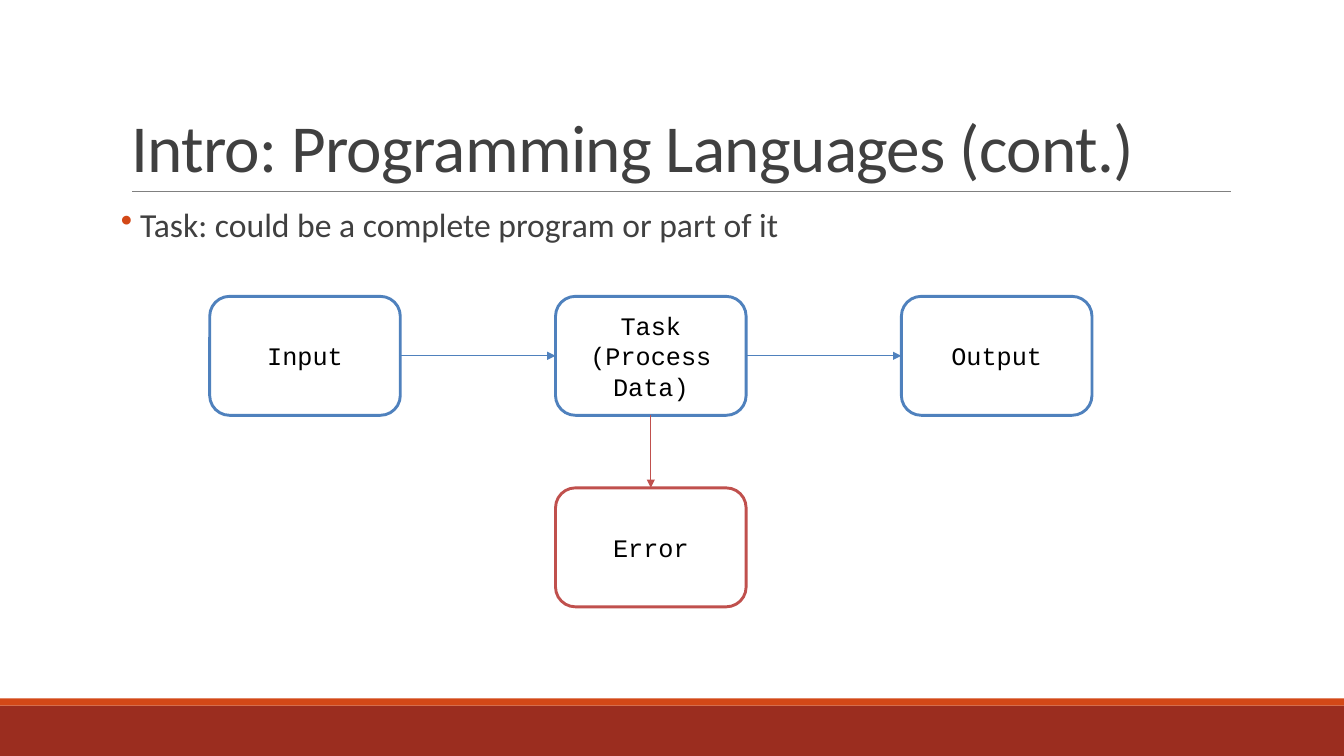
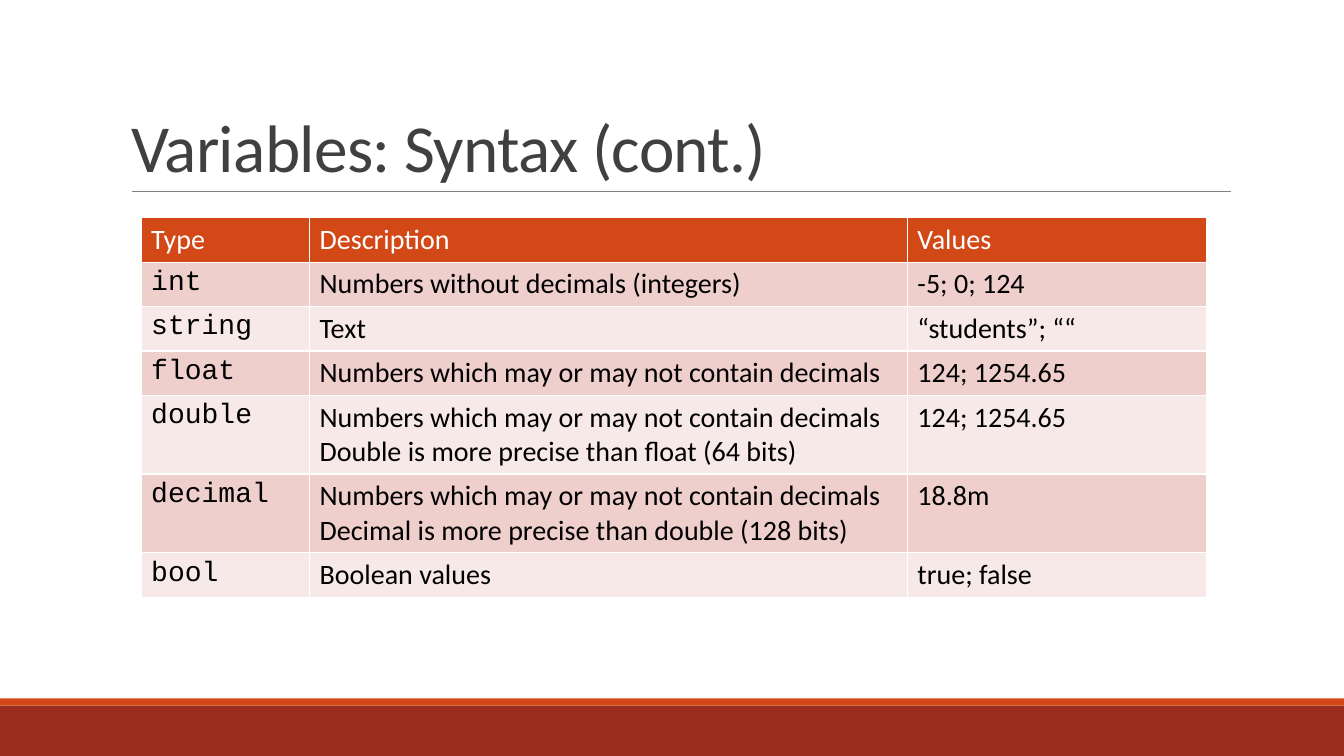
from lxml import etree
from pptx import Presentation
from pptx.dml.color import RGBColor
from pptx.enum import shapes, text
from pptx.oxml import ns
from pptx.util import Inches, Pt

RUST, ORANGE, GREY, DARK = "9B2D1F", "D34817", "808080", "404040"
BLUE, RED, WHITE, BLACK = "4F81BD", "C0504D", "FFFFFF", "000000"
STRIPES = "EFCFCC", "F7E9E8"
SANS, MONO = "Calibri", "Courier New"

FLOW_TITLE = "Intro: Programming Languages (cont.)"
BULLET = "Task: could be a complete program or part of it"
# name: (lines, column, row, colour)
NODES = {
    "input": ("Input", 0, 0, BLUE),
    "task": ("Task\n(Process Data)", 1, 0, BLUE),
    "output": ("Output", 2, 0, BLUE),
    "error": ("Error", 1, 1, RED),
}
# from, side, to, side, colour
LINKS = [
    ("input", 3, "task", 1, BLUE),
    ("task", 3, "output", 1, BLUE),
    ("task", 2, "error", 0, RED),
]

TYPES_TITLE = "Variables: Syntax (cont.)"
DECIMALS = "Numbers which may or may not contain decimals"
WIDTHS = 1.67, 5.93, 2.97
TYPES = [
    ("Type", "Description", "Values"),
    ("int", "Numbers without decimals (integers)", "-5; 0; 124"),
    ("string", "Text", "“students”; ““"),
    ("float", DECIMALS, "124; 1254.65"),
    ("double", DECIMALS + "\nDouble is more precise than float (64 bits)",
     "124; 1254.65"),
    ("decimal", DECIMALS + "\nDecimal is more precise than double (128 bits)",
     "18.8m"),
    ("bool", "Boolean values", "true; false"),
]


def rgb(code):
    return RGBColor.from_string(code)


def paint(part, code):
    part.fill.solid()
    part.fill.fore_color.rgb = rgb(code)


def sub(parent, tag, **attrs):
    return etree.SubElement(parent, ns.qn(tag), attrs)


def box(*inches):
    return [Inches(n) for n in inches]


def write(frame, words, size, face, colour, **form):
    """Fill a text frame; form holds paragraph attributes."""
    frame.text = words
    for para in frame.paragraphs:
        for name, value in form.items():
            setattr(para, name, value)
        for run in para.runs:
            run.font.size, run.font.name = Pt(size), face
            run.font.color.rgb = rgb(colour)


def wire(slide, ends, colour, width):
    line = slide.shapes.add_connector(
        shapes.MSO_CONNECTOR.STRAIGHT, *box(*ends))
    line.line.color.rgb = rgb(colour)
    line.line.width = Pt(width)
    sub(line._element.spPr, "a:effectLst")
    return line


def start(deck, title):
    """Add a slide with bands, title and rule."""
    slide = deck.slides.add_slide(deck.slide_layouts[5])
    for top, high, colour in ((7, 0.5, RUST), (6.93, 0.07, ORANGE)):
        band = slide.shapes.add_shape(
            shapes.MSO_SHAPE.RECTANGLE, *box(0, top, 13.33, high))
        paint(band, colour)
        band.line.fill.background()
        band.shadow.inherit = False
    wire(slide, (1.31, 1.9, 12.21, 1.9), GREY, 0.5)
    head = slide.shapes.title
    head.left, head.top, head.width, head.height = box(1.2, 0.31, 11, 1.59)
    frame = head.text_frame
    frame.auto_size = text.MSO_AUTO_SIZE.NONE
    frame.vertical_anchor = text.MSO_ANCHOR.BOTTOM
    write(frame, title, 48, SANS, DARK,
          alignment=text.PP_ALIGN.LEFT, line_spacing=0.85)
    frame.paragraphs[0].runs[0].font._element.set("spc", "-50")
    return slide


def point(slide):
    frame = slide.shapes.add_textbox(*box(1.2, 2.02, 11, 4.4)).text_frame
    frame.word_wrap = True
    frame.margin_left = frame.margin_right = 0
    write(frame, BULLET, 24, SANS, DARK, line_spacing=0.9, space_after=Pt(2))
    props = frame.paragraphs[0]._p.get_or_add_pPr()
    props.set("marL", str(Inches(0.19)))
    props.set("indent", str(Inches(-0.19)))
    sub(sub(props, "a:buClr"), "a:srgbClr", val=ORANGE)
    sub(props, "a:buChar", char="•")


def flow(slide):
    nodes = {}
    for name, (words, col, row, colour) in NODES.items():
        node = slide.shapes.add_shape(
            shapes.MSO_SHAPE.ROUNDED_RECTANGLE,
            *box(2.08 + 3.43 * col, 2.94 + 1.9 * row, 1.89, 1.18))
        paint(node, WHITE)
        node.line.color.rgb = rgb(colour)
        node.line.width = Pt(2.08)
        node.shadow.inherit = False
        node.text_frame.vertical_anchor = text.MSO_ANCHOR.MIDDLE
        write(node.text_frame, words, 18, MONO, BLACK,
              alignment=text.PP_ALIGN.CENTER)
        nodes[name] = node
    for tail, out, head, into, colour in LINKS:
        line = wire(slide, (0, 0, 0, 0), colour, 0.75)
        line.begin_connect(nodes[tail], out)
        line.end_connect(nodes[head], into)
        sub(line.line._get_or_add_ln(), "a:tailEnd", type="triangle")


def edge(cell):
    """Draw white borders, which must come before the fill."""
    props = cell._tc.get_or_add_tcPr()
    for side in "LRTB":
        line = sub(props, "a:ln" + side, w=str(Pt(1)))
        sub(sub(line, "a:solidFill"), "a:srgbClr", val=WHITE)


def grid(slide):
    table = slide.shapes.add_table(
        len(TYPES), len(WIDTHS), *box(1.4, 2.16, 10.57, 3.7)).table
    for col, width in zip(table.columns, WIDTHS):
        col.width = Inches(width)
    for r, row in enumerate(TYPES):
        tall = any("\n" in words for words in row)
        table.rows[r].height = Inches(0.78 if tall else 0.44)
        for c, words in enumerate(row):
            cell = table.cell(r, c)
            edge(cell)
            paint(cell, STRIPES[(r - 1) % 2] if r else ORANGE)
            write(cell.text_frame, words, 20, MONO if r and not c else SANS,
                  BLACK if r else WHITE)
            for run in cell.text_frame.paragraphs[0].runs:
                run.font.bold = False


def main():
    deck = Presentation()
    deck.slide_width, deck.slide_height = box(13.33, 7.5)
    slide = start(deck, FLOW_TITLE)
    point(slide)
    flow(slide)
    grid(start(deck, TYPES_TITLE))
    deck.save("out.pptx")


if __name__ == "__main__":
    main()
